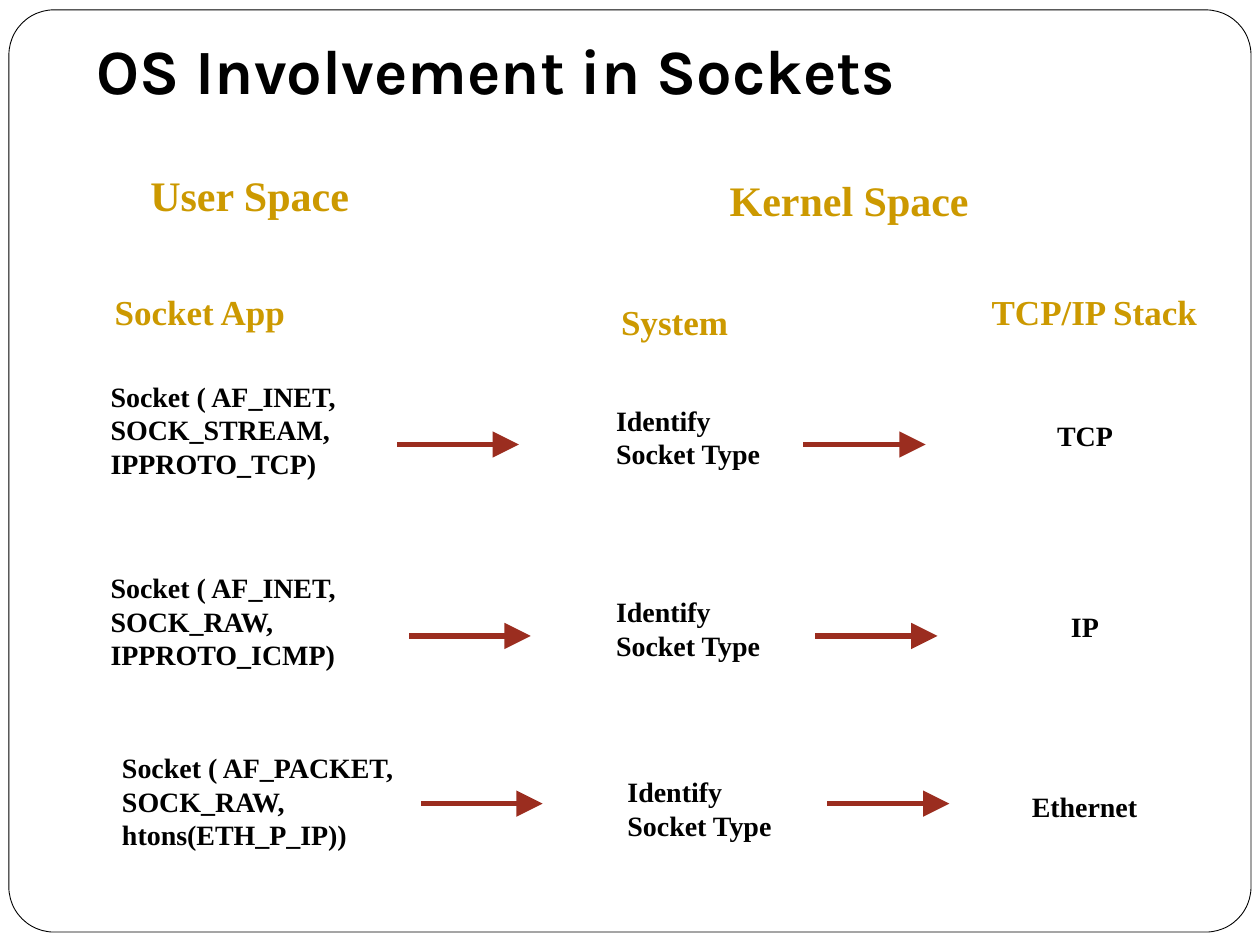
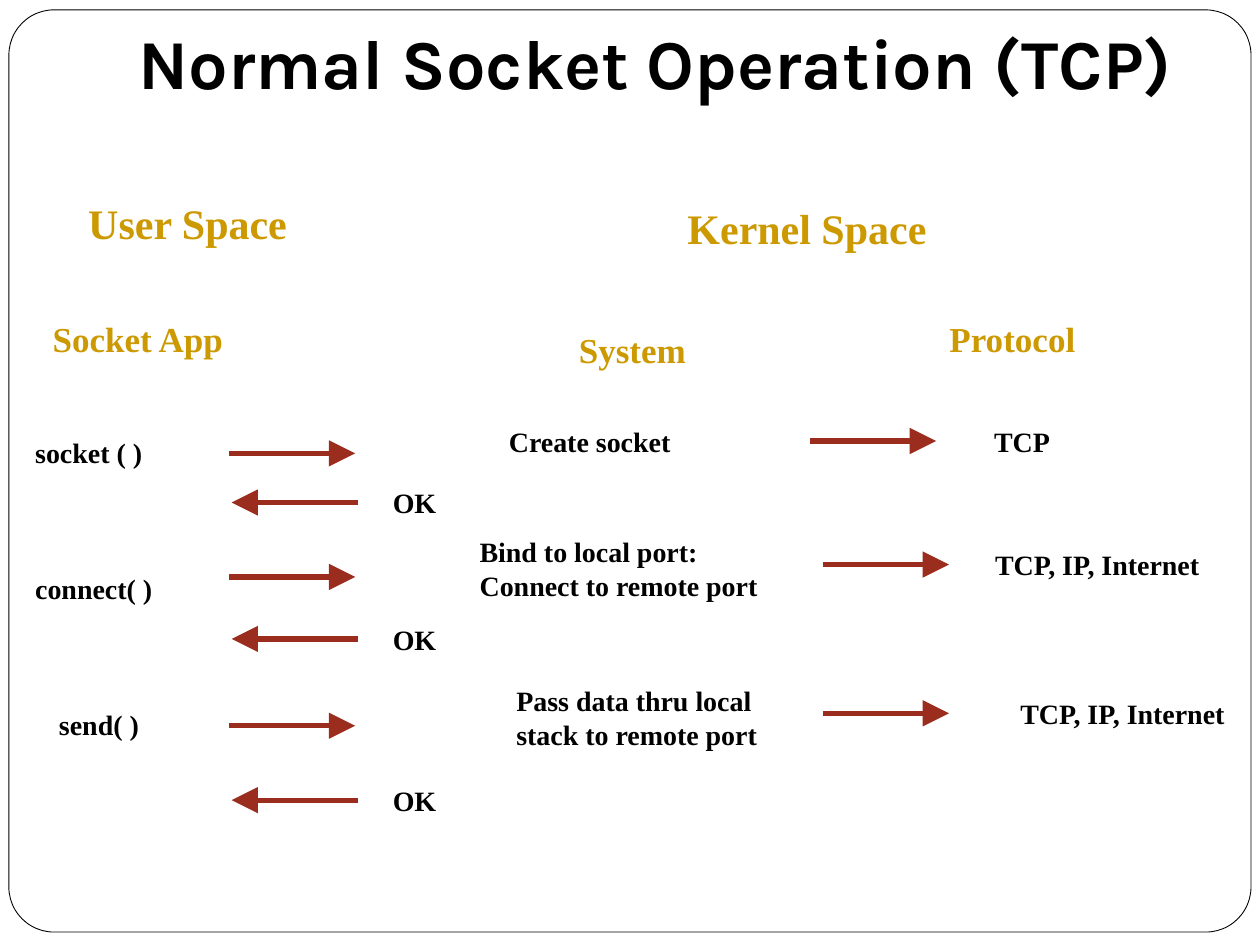
from lxml import etree
from pptx import Presentation
from pptx.dml.color import RGBColor
from pptx.enum.shapes import MSO_CONNECTOR, MSO_SHAPE
from pptx.enum.text import MSO_ANCHOR, MSO_AUTO_SIZE, PP_ALIGN
from pptx.oxml.ns import qn
from pptx.util import Cm, Pt

ROUNDED = MSO_SHAPE.ROUNDED_RECTANGLE
STRAIGHT = MSO_CONNECTOR.STRAIGHT
BOTTOM = MSO_ANCHOR.BOTTOM
FIXED = MSO_AUTO_SIZE.NONE
GROW = MSO_AUTO_SIZE.SHAPE_TO_FIT_TEXT
LEFT = PP_ALIGN.LEFT

COLORS = {"paper": "FFFFFF", "ink": "000000", "heading": "CC9900", "arrow": "9B2D1F"}
TITLE_FONT = "Karla"
BODY_FONT = "Times New Roman"
TITLE_ONLY = 5
LINE_PER_POINT = 0.0423

CREATION_ROWS = [
    (1.98, 8.66, ["Socket ( AF_INET,", "SOCK_STREAM,", "IPPROTO_TCP)"], 5.26,
     "TCP", 21.06, 8.05, 0.3),
    (1.98, 12.52, ["Socket ( AF_INET,", "SOCK_RAW,", "IPPROTO_ICMP)"], 5.26,
     "IP", 21.34, 8.29, 0.3),
    (2.21, 16.15, ["Socket ( AF_PACKET,", "SOCK_RAW,", "htons(ETH_P_IP))"], 6.22,
     "Ethernet", 20.55, 8.53, 0.05),
]
CALL_ROWS = [
    (8.89, 1.24, ("socket ( )", 0.46, 0.22), (["Create socket"], 10.01, 3.9, 0),
     16.38, ("TCP", 19.79, 1.8)),
    (11.38, 1.5, ("connect( )", 0.46, 0.47),
     (["Bind to local port:", "Connect to remote port"], 9.42, 7.72, 0.08),
     16.64, ("TCP, IP, Internet", 19.81, 4.8)),
    (14.38, 1.75, ("send( )", 0.94, 0.22),
     (["Pass data thru local", "stack to remote port"], 10.16, 5.5, 0.08),
     16.64, ("TCP, IP, Internet", 20.32, 4.8)),
]


def rgb(name):
    """Return the named colour."""
    return RGBColor.from_string(COLORS[name])


def set_font(font, name, size, color):
    """Apply a bold font."""
    font.name, font.size, font.bold = name, Pt(size), True
    font.color.rgb = rgb(color)


def set_margins(frame, bottom):
    """Set the insets of a text frame."""
    frame.margin_left = frame.margin_right = Cm(0.25)
    frame.margin_top, frame.margin_bottom = Cm(0.13), Cm(bottom)


def add_label(slide, left, middle, width, lines, size=16, color="ink"):
    """Add lines of text centred vertically on middle."""
    height = 0.26 + len(lines) * size * LINE_PER_POINT
    label = slide.shapes.add_textbox(Cm(left), Cm(middle - height / 2), Cm(width), Cm(height))
    frame = label.text_frame
    frame.word_wrap = False
    frame.auto_size = GROW
    set_margins(frame, 0.13)
    frame.text = "\n".join(lines)
    for paragraph in frame.paragraphs:
        set_font(paragraph.font, BODY_FONT, size, color)


def add_arrow(slide, start, end, y):
    """Add a horizontal arrow pointing at end."""
    arrow = slide.shapes.add_connector(STRAIGHT, Cm(start), Cm(y), Cm(end), Cm(y))
    arrow.line.color.rgb = rgb("arrow")
    arrow.line.width = Pt(3)
    stroke = arrow.line._get_or_add_ln()
    stroke.set("cap", "sq")
    etree.SubElement(stroke, qn("a:tailEnd"), type="triangle", w="lg", len="lg")
    etree.SubElement(arrow._element.spPr, qn("a:effectLst"))


def add_framed_slide(prs, heading, size, box):
    """Add a slide with the rounded frame and its title in box."""
    slide = prs.slides.add_slide(prs.slide_layouts[TITLE_ONLY])
    border = slide.shapes.add_shape(ROUNDED, Cm(0.18), Cm(0.2), Cm(25.04), Cm(18.59))
    border.adjustments[0] = 0.049
    border.shadow.inherit = False
    border.fill.solid()
    border.fill.fore_color.rgb = rgb("paper")
    border.line.color.rgb = rgb("ink")
    border.line.width = Pt(0.5)
    slide.shapes._spTree.insert(2, border._element)

    title = slide.shapes.title
    title.left, title.top, title.width, title.height = map(Cm, box)
    frame = title.text_frame
    frame.auto_size = FIXED
    frame.vertical_anchor = BOTTOM
    set_margins(frame, 0.25)
    frame.text = heading
    frame.paragraphs[0].alignment = LEFT
    set_font(frame.paragraphs[0].font, TITLE_FONT, size, "ink")
    return slide


def add_headings(slide, left, middle, span, target, target_width):
    """Add the space headings above the three column headings."""
    last = left + span
    for text, x, y, width, size in [
        ("User Space", left + 0.72, middle - 2.34, 4.7, 24),
        ("Kernel Space", last - 5.28, middle - 2.25, 5.5, 24),
        ("Socket App", left, middle, 4.1, 20),
        ("System", last - 7.47, middle + 0.22, 3.2, 20),
        (target, last, middle, target_width, 20),
    ]:
        add_label(slide, x, y, width, [text], size, "heading")


def add_creation_row(slide, left, middle, call, call_width, protocol, protocol_left,
                     arrow_left, arrow_drop):
    """Add one socket call, its identification and its protocol."""
    add_label(slide, left, middle, call_width, call)
    add_label(slide, left + 10.19, middle + 0.15, 3.6, ["Identify", "Socket Type"])
    add_label(slide, protocol_left, middle + 0.11, 3, [protocol])
    for start in (arrow_left, arrow_left + 8.2):
        add_arrow(slide, start, start + 2.41, middle + arrow_drop)


def add_call_row(slide, middle, reply_drop, call, kernel, forward_left, protocol):
    """Add one call with its request, kernel work, protocol and reply."""
    call_text, call_left, call_drop = call
    add_label(slide, call_left, middle + call_drop, 3.99, [call_text])
    add_arrow(slide, 4.67, 7.16, middle + 0.25)
    work, work_left, work_width, work_drop = kernel
    add_label(slide, work_left, middle + work_drop, work_width, work)
    add_arrow(slide, forward_left, forward_left + 2.49, middle)
    protocol_text, protocol_left, protocol_width = protocol
    add_label(slide, protocol_left, middle, protocol_width, [protocol_text])
    add_arrow(slide, 7.16, 4.67, middle + reply_drop)
    add_label(slide, 7.67, middle + reply_drop, 2.24, ["OK"])


def build_involvement(prs):
    """Build the slide on the part of the OS in sockets."""
    slide = add_framed_slide(prs, "OS Involvement in Sockets", 36, (1.7, 0.2, 21.59, 2.21))
    add_headings(slide, 2.06, 6.27, 17.68, "TCP/IP Stack", 4.8)
    for row in CREATION_ROWS:
        add_creation_row(slide, *row)


def build_operation(prs):
    """Build the slide on normal TCP socket calls."""
    slide = add_framed_slide(prs, "Normal Socket Operation (TCP)", 40,
                             (2.54, 0.76, 21.59, 1.57))
    add_headings(slide, 0.81, 6.83, 18.08, "Protocol", 3.2)
    for row in CALL_ROWS:
        add_call_row(slide, *row)


def main():
    """Build and save the presentation."""
    prs = Presentation()
    prs.slide_width, prs.slide_height = Cm(25.4), Cm(19.05)
    build_involvement(prs)
    build_operation(prs)
    prs.save("out.pptx")


if __name__ == "__main__":
    main()
